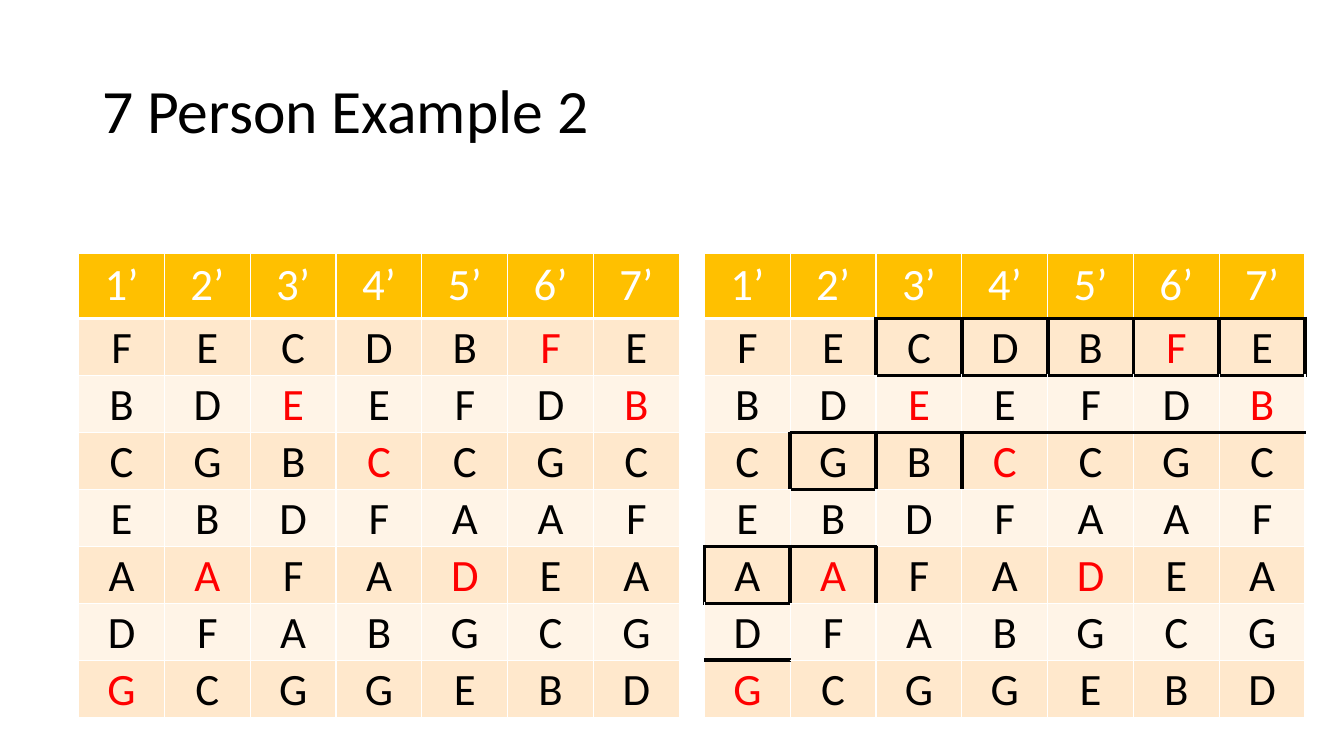
from lxml.etree import SubElement
from pptx import Presentation
from pptx.dml.color import RGBColor
from pptx.enum.text import MSO_ANCHOR as ANCHOR, PP_ALIGN as ALIGN
from pptx.oxml.ns import qn
from pptx.util import Pt

TITLE = "7 Person Example 2"
HEADS = ["1’", "2’", "3’", "4’", "5’", "6’", "7’"]
PREFERENCES = ["FECDBFE", "BDEEFDB", "CGBCCGC", "EBDFAAF", "AAFADEA", "DFABGCG", "GCGGEBD"]
MATCHES = {(1, 5), (2, 2), (2, 6), (3, 3), (5, 1), (5, 4), (7, 0)}  # (row, column)

# Heavy black grid lines of the right table
LINES_ABOVE = {1: range(2, 7), 2: range(2, 7), 3: range(1, 7), 4: [1], 5: [0, 1], 6: [0], 7: [0]}
LINES_LEFT = {1: range(2, 8), 3: [1, 2, 3], 5: [0, 1, 2]}
BLACK_ABOVE = {(row, col) for row, cols in LINES_ABOVE.items() for col in cols}
BLACK_LEFT = {(row, col) for row, cols in LINES_LEFT.items() for col in cols}

BLACK = RGBColor(0x00, 0x00, 0x00)
WHITE = RGBColor(0xFF, 0xFF, 0xFF)
RED = RGBColor(0xFF, 0x00, 0x00)
GOLD = RGBColor(0xFF, 0xC0, 0x00)
PEACH = RGBColor(0xFF, 0xE8, 0xCC)
CREAM = RGBColor(0xFF, 0xF4, 0xE7)

TABLE_TOP, COL_W, HEAD_H, ROW_H = 180.7, 61.3, 46.9, 40.7
LEFT_X, RIGHT_X = 56.2, 503.2


def write(tf, text, size=32, color=BLACK, align=ALIGN.CENTER, spacing=None):
    p = tf.paragraphs[0]
    p.alignment = align
    p.line_spacing = spacing
    r = p.add_run()
    r.text = text
    r.font.name, r.font.size, r.font.bold = "Calibri", Pt(size), False
    r.font.color.rgb = color


def add_border(cell, side, color, width):
    ln = SubElement(cell._tc.get_or_add_tcPr(), qn(f"a:ln{side}"), w=str(Pt(width)))
    fill = SubElement(ln, qn("a:solidFill"))
    SubElement(fill, qn("a:srgbClr"), val=str(color))


def add_preferences(s, left, black_above=(), black_left=()):
    rows = [HEADS, *PREFERENCES]
    height = HEAD_H + ROW_H * len(PREFERENCES)
    frame = s.shapes.add_table(len(rows), len(HEADS), Pt(left), Pt(TABLE_TOP),
                               Pt(COL_W * len(HEADS)), Pt(height))
    table = frame.table
    table.first_row = table.horz_banding = False
    for column in table.columns:
        column.width = Pt(COL_W)

    def horizontal(row, col):
        if (row, col) in black_above:
            return BLACK, 3
        return WHITE, 3 if row == 1 else 1

    def vertical(row, col):
        return (BLACK, 3) if (row, col) in black_left else (WHITE, 1)

    for i, texts in enumerate(rows):
        table.rows[i].height = Pt(ROW_H if i else HEAD_H)
        for j, text in enumerate(texts):
            cell = table.cell(i, j)
            add_border(cell, "L", *vertical(i, j))
            add_border(cell, "R", *vertical(i, j + 1))
            add_border(cell, "T", *horizontal(i, j))
            add_border(cell, "B", *horizontal(i + 1, j))
            cell.fill.solid()
            if i == 0:
                cell.fill.fore_color.rgb = GOLD
                write(cell.text_frame, text, color=WHITE)
                continue
            cell.fill.fore_color.rgb = PEACH if i % 2 else CREAM
            cell.vertical_anchor = ANCHOR.BOTTOM
            cell.margin_left = cell.margin_right = cell.margin_top = Pt(0.7)
            cell.margin_bottom = 0
            write(cell.text_frame, text, color=RED if (i, j) in MATCHES else BLACK)


def add_title(s):
    tf = s.shapes.add_textbox(Pt(66), Pt(28.8), Pt(828), Pt(104.4)).text_frame
    tf.word_wrap = True
    tf.vertical_anchor = ANCHOR.MIDDLE
    write(tf, TITLE, size=44, align=ALIGN.LEFT, spacing=0.9)


def main():
    prs = Presentation()
    prs.slide_width, prs.slide_height = Pt(960), Pt(540)
    s = prs.slides.add_slide(prs.slide_layouts[6])
    add_preferences(s, LEFT_X)
    add_title(s)
    add_preferences(s, RIGHT_X, BLACK_ABOVE, BLACK_LEFT)
    prs.save("out.pptx")


if __name__ == "__main__":
    main()
